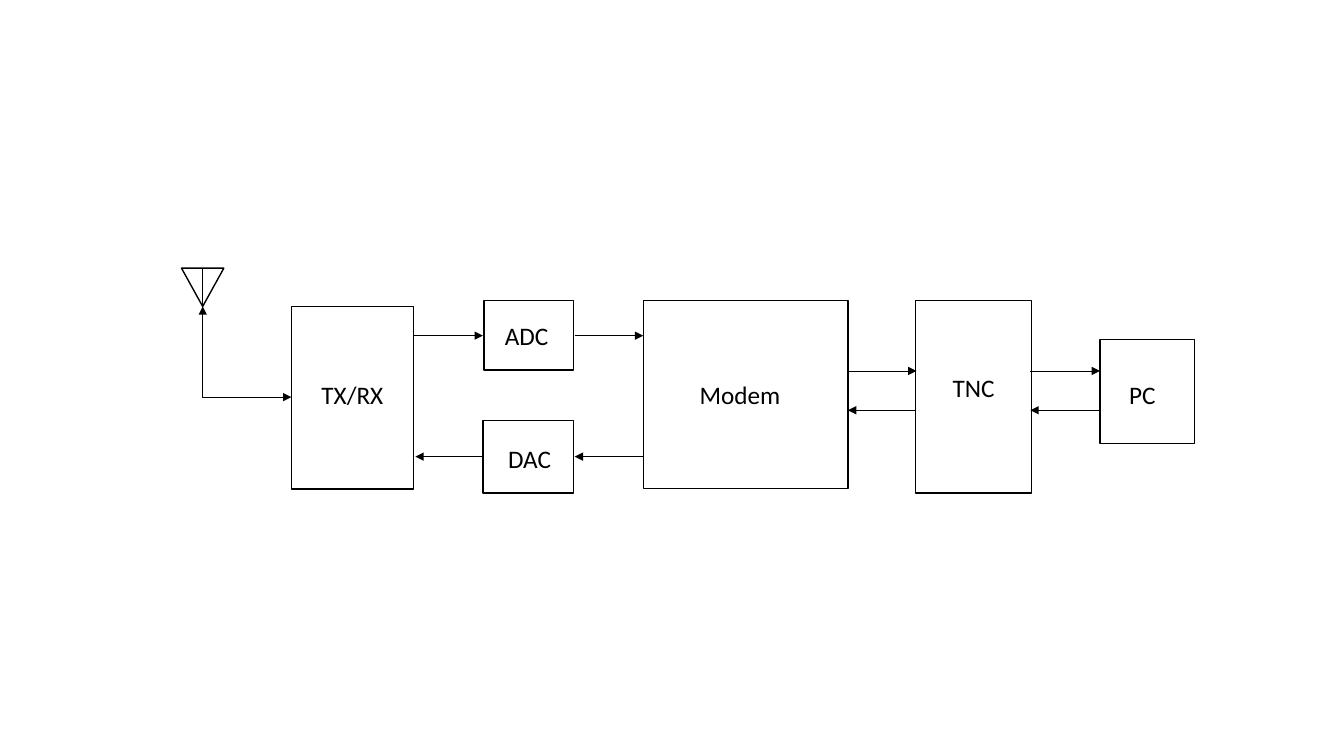
from pptx import Presentation
from pptx.dml.color import RGBColor
from pptx.enum.shapes import MSO_CONNECTOR as Link, MSO_SHAPE as Form
from pptx.oxml.ns import qn
from pptx.util import Inches, Pt
from lxml.etree import SubElement

BLACK = RGBColor(0, 0, 0)


class Sketch:
    """Holds the style and the current slide."""

    font, size = "Calibri", Pt(18)
    edge, wire = Pt(1), Pt(0.5)

    def __init__(self, slide):
        """Draw on the given slide."""
        self.slide = slide

    def shape(self, shapes, form, area):
        """Add an unfilled outlined shape."""
        item = shapes.add_shape(form, *map(Inches, area))
        item.shadow.inherit = False
        item.fill.background()
        item.line.color.rgb = BLACK
        item.line.width = self.edge
        return item

    def block(self, text, area, spot):
        """Add a group of a box and its label."""
        shapes = self.slide.shapes.add_group_shape().shapes
        self.shape(shapes, Form.RECTANGLE, area)
        frame = shapes.add_textbox(*map(Inches, spot)).text_frame
        frame.word_wrap = True
        frame.text = text
        font = frame.paragraphs[0].runs[0].font
        font.name, font.size, font.color.rgb = self.font, self.size, BLACK

    def line(self, start, end, tips=(), kind=Link.STRAIGHT):
        """Add a thin connector with arrowheads at the named tips."""
        ends = map(Inches, (*start, *end))
        item = self.slide.shapes.add_connector(kind, *ends)
        item.line.color.rgb = BLACK
        item.line.width = self.wire
        props = item._element.spPr
        for tip in tips:
            SubElement(props.find(qn("a:ln")), qn(f"a:{tip}"), type="triangle")
        SubElement(props, qn("a:effectLst"))
        return props

    def arrow(self, y, start, end):
        """Add a level arrow from one x to another."""
        self.line((start, y), (end, y), ["tailEnd"])

    def elbow(self, start, end):
        """Add a two-headed arrow that runs down, then right."""
        (left, top), (right, low) = start, end
        midx, midy = (left + right) / 2, (top + low) / 2
        # The frame is turned a quarter, so its width and height swap.
        halfx, halfy = (low - top) / 2, (right - left) / 2
        props = self.line((midx + halfx, midy - halfy),
                          (midx - halfx, midy + halfy),
                          ["headEnd", "tailEnd"], Link.ELBOW)
        props.find(qn("a:xfrm")).set("rot", str(270 * 60000))
        props.find(qn("a:prstGeom")).set("prst", "bentConnector2")


deck = Presentation()
deck.slide_width, deck.slide_height = Inches(13.33), Inches(7.5)
sketch = Sketch(deck.slides.add_slide(deck.slide_layouts[6]))

BLOCKS = [
    ("TX/RX", (2.89, 3.04, 1.21, 1.81), (3.09, 3.71, 0.87, 0.4)),
    ("Modem", (6.38, 2.98, 2.03, 1.87), (6.84, 3.71, 1.16, 0.41)),
    ("TNC", (9.08, 2.98, 1.15, 1.91), (9.35, 3.64, 0.86, 0.92)),
    ("PC", (10.91, 3.37, 0.94, 1.03), (11.1, 3.71, 0.56, 0.49)),
    ("ADC", (4.8, 2.98, 0.89, 0.69), (4.91, 3.13, 0.67, 0.33)),
    ("DAC", (4.79, 4.17, 0.9, 0.72), (4.94, 4.35, 0.68, 0.35)),
]
for block in BLOCKS:
    sketch.block(*block)

# Antenna and its feed
mast = sketch.shape(sketch.slide.shapes, Form.ISOSCELES_TRIANGLE,
                    (1.8, 2.66, 0.42, 0.38))
mast.rotation = 180
sketch.line((2.01, 2.66), (2.01, 3.04))
sketch.elbow((2.01, 3.04), (2.89, 3.94))

# Receive path runs right, transmit path runs left
RECEIVE = [(3.33, 4.1, 4.79), (3.33, 5.7, 6.38),
           (3.68, 8.41, 9.09), (3.68, 10.22, 10.91)]
SEND = [(4.07, 10.91, 10.22), (4.07, 9.09, 8.41),
        (4.53, 6.38, 5.7), (4.53, 4.8, 4.12)]
for signal in RECEIVE + SEND:
    sketch.arrow(*signal)

deck.save("out.pptx")
